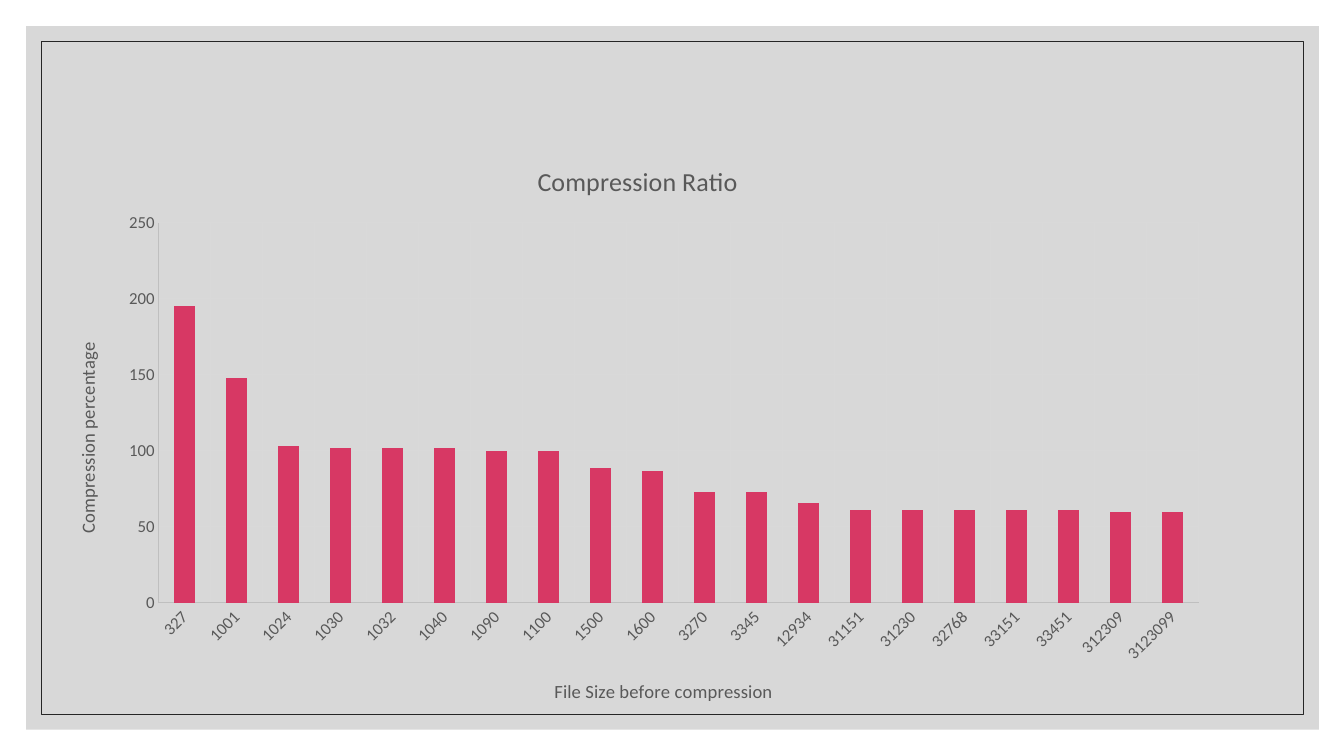
from lxml import etree
from pptx import Presentation
from pptx.chart.data import CategoryChartData
from pptx.dml.color import RGBColor
from pptx.enum.chart import XL_CHART_TYPE as ChartType, XL_TICK_MARK as TickMark
from pptx.enum.shapes import MSO_SHAPE as Shape
from pptx.oxml import parse_xml
from pptx.oxml.ns import nsdecls, qn
from pptx.util import Inches, Pt

# Content
TITLE = "Compression Ratio"
SIZE_TITLE = "File Size before compression"
RATIO_TITLE = "Compression percentage"
RATIOS = {
    "327": 195, "1001": 148, "1024": 103, "1030": 102, "1032": 102,
    "1040": 102, "1090": 100, "1100": 100, "1500": 89, "1600": 87,
    "3270": 73, "3345": 73, "12934": 66, "31151": 61, "31230": 61,
    "32768": 61, "33151": 61, "33451": 61, "312309": 60, "3123099": 60,
}
FONT, TEXT, AXIS, GRID, BAR = "Calibri", "595959", "BFBFBF", "D9D9D9", "D73864"
PLOT = {"x": 0.09, "y": 0.14, "w": 0.89, "h": 0.65}  # shares of the chart area


def color(value):
    return RGBColor.from_string(value)


def style_font(font, size):
    font.name, font.size, font.bold = FONT, Pt(size), False
    font.color.rgb = color(TEXT)


def style_line(line, value, width):
    line.color.rgb = color(value)
    line.width = Pt(width)


def set_title(owner, text, size):
    owner.has_title = True
    frame = (owner.chart_title if hasattr(owner, "chart_title") else owner.axis_title).text_frame
    frame.text = text
    style_font(frame.paragraphs[0].font, size)


def add_rectangle(page, left, top, width, height):
    box = page.shapes.add_shape(
        Shape.RECTANGLE, Inches(left), Inches(top), Inches(width), Inches(height))
    box.shadow.inherit = False
    return box


def main():
    deck = Presentation()
    deck.slide_width, deck.slide_height = Inches(13.33), Inches(7.5)
    page = deck.slides.add_slide(deck.slide_layouts[6])

    # Translucent panel and thin frame
    panel = add_rectangle(page, 0.26, 0.26, 12.82, 6.98)
    panel.fill.solid()
    panel.fill.fore_color.rgb = color("BFBFBF")
    panel.line.fill.background()
    shade = panel.fill._xPr.find(".//" + qn("a:srgbClr"))
    etree.SubElement(shade, qn("a:alpha")).set("val", "60000")
    frame = add_rectangle(page, 0.41, 0.41, 12.52, 6.68)
    frame.fill.background()
    style_line(frame.line, "262626", 0.5)

    # Column chart
    data = CategoryChartData()
    data.categories = list(RATIOS)
    data.add_series("Series 1", list(RATIOS.values()))
    chart = page.shapes.add_chart(
        ChartType.COLUMN_STACKED, Inches(0.53), Inches(1.4),
        Inches(11.59), Inches(5.8), data).chart
    chart.has_legend = False
    chart.font.name, chart.font.size = FONT, Pt(10)
    set_title(chart, TITLE, 18.6)
    chart.chart_title.include_in_layout = False
    plot = chart.plots[0]
    plot.gap_width, plot.overlap, plot.vary_by_categories = 150, 100, False
    bars = plot.series[0].format.fill
    bars.solid()
    bars.fore_color.rgb = color(BAR)

    # Axes
    for axis, text in ((chart.category_axis, SIZE_TITLE), (chart.value_axis, RATIO_TITLE)):
        set_title(axis, text, 13.3)
        style_font(axis.tick_labels.font, 12)
        axis.major_tick_mark = axis.minor_tick_mark = TickMark.NONE
        axis.has_major_gridlines = True
        style_line(axis.major_gridlines.format.line, GRID, 0.75)
        style_line(axis.format.line, AXIS, 0.75)
    ratio_axis = chart.value_axis
    ratio_axis.minimum_scale, ratio_axis.maximum_scale, ratio_axis.major_unit = 0, 250, 50
    size_labels = chart.category_axis._element.find(qn("c:txPr"))
    size_labels.find(qn("a:bodyPr")).set("rot", "-2700000")

    # Fixed plot area
    area = chart._chartSpace.find(".//" + qn("c:plotArea"))
    for layout in area.findall(qn("c:layout")):
        area.remove(layout)
    parts = "".join(f'<c:{key} val="{share}"/>' for key, share in PLOT.items())
    area.insert(0, parse_xml(
        f'<c:layout {nsdecls("c")}><c:manualLayout><c:layoutTarget val="inner"/>'
        f'<c:xMode val="edge"/><c:yMode val="edge"/>{parts}</c:manualLayout></c:layout>'))

    deck.save("out.pptx")


if __name__ == "__main__":
    main()
